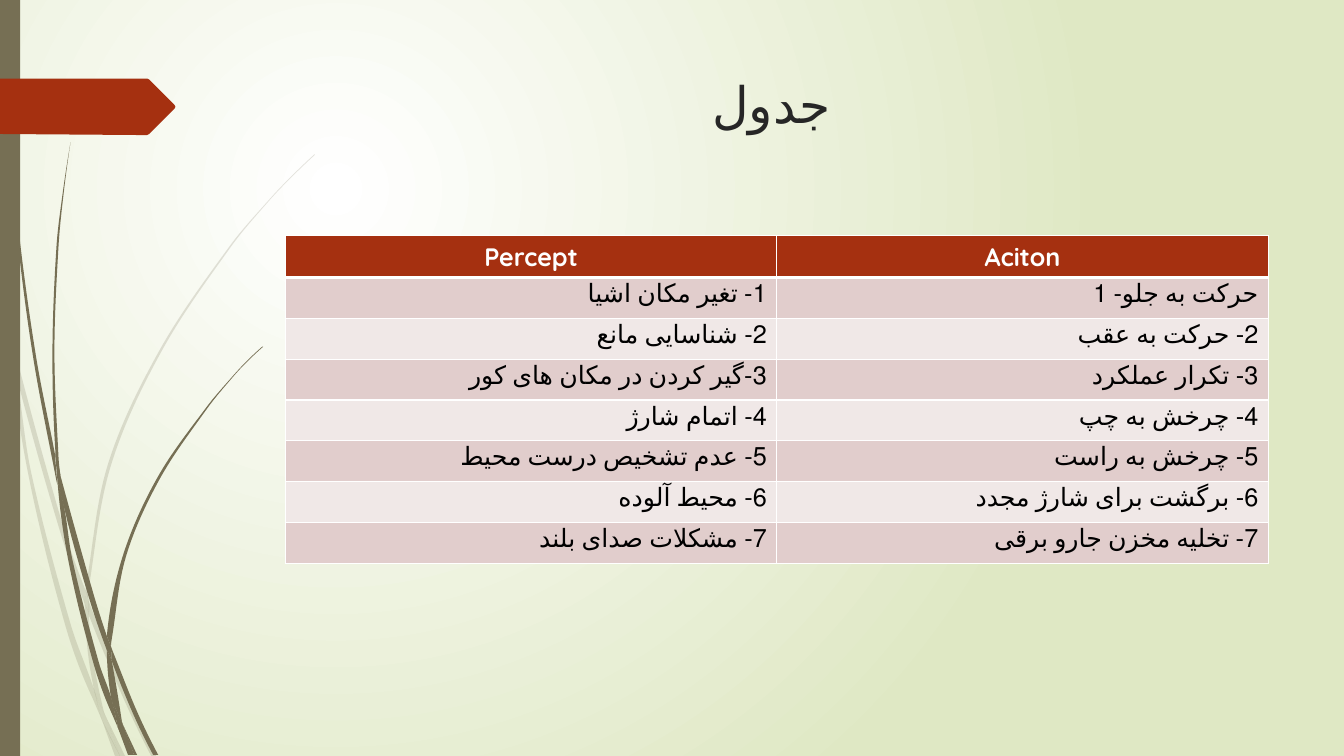
from math import dist

from lxml import etree
from pptx import Presentation
from pptx.dml.color import RGBColor
from pptx.enum.lang import MSO_LANGUAGE_ID
from pptx.enum.shapes import MSO_SHAPE
from pptx.enum.text import MSO_ANCHOR, PP_ALIGN
from pptx.oxml import parse_xml
from pptx.oxml.ns import nsdecls, qn
from pptx.util import Inches, Pt

RECTANGLE = MSO_SHAPE.RECTANGLE
TOP = MSO_ANCHOR.TOP
CENTER, RIGHT = PP_ALIGN.CENTER, PP_ALIGN.RIGHT
ENGLISH, FARSI = MSO_LANGUAGE_ID.ENGLISH_US, MSO_LANGUAGE_ID.FARSI
FONT = "Quicksand"
COLORS = {
    "white": "FFFFFF", "black": "000000", "title": "262626", "edge": "DFE8C4",
    "stem": "766F54", "accent": "A53010", "odd": "E1CDCC", "even": "F0E8E7",
}

TITLE = "جدول "
HEADERS = ("Percept", "Aciton")
ROWS = [
    ("1- تغیر مکان اشیا ", "حرکت به جلو- 1"),
    ("2- شناسایی مانع ", "2- حرکت به عقب "),
    ("3-گیر کردن در مکان های کور", "3- تکرار عملکرد "),
    ("4- اتمام شارژ", "4- چرخش به چپ"),
    ("5- عدم تشخیص درست محیط", "5- چرخش به راست "),
    ("6- محیط آلوده", "6- برگشت برای شارژ مجدد"),
    ("7- مشکلات صدای بلند ", "7- تخلیه مخزن جارو برقی "),
]
LEFT_TO_RIGHT_CELL = (1, 1)

PALE_WISPS = [
    [[(0.11, 3.5), (0.09, 3.22), (0, 2.82)], [(0, 2.99), (0.1, 3.44), (0.11, 3.5)]],
    [[(0.14, 3.45), (0.62, 5.2), (0.85, 5.86)], [(0.84, 5.99), (0.58, 5.22), (0.17, 3.76)]],
    [[(0.88, 5.96), (0.92, 6.07), (1.27, 6.92), (1.55, 7.5)],
     [(1.5, 7.5), (1.23, 6.94), (0.88, 6.1)]],
    [[(1.05, 7.11), (1.24, 7.5)], [(1.19, 7.5), (1.05, 7.11)]],
    [[(0.11, 3.5), (0.17, 3.76), (0.31, 4.69), (0.7, 6.19), (0.93, 6.83), (0.99, 7.07), (1.01, 7.14)],
     [(0.92, 6.93), (0.65, 6.21), (0.28, 4.7), (0.11, 3.5)]],
    [[(0.84, 5.99), (0.87, 6.46), (0.93, 6.83), (0.96, 6.92), (1.05, 7.11)],
     [(1.03, 7.06), (0.91, 6.46), (0.88, 6.1), (0.88, 6.08), (0.84, 5.99)]],
    [[(0.88, 5.96), (0.88, 5.84), (1.1, 4.62), (1.6, 3.49), (2.29, 2.45), (2.68, 1.98), (2.9, 1.75), (3.12, 1.54)],
     [(3.12, 1.53), (2.89, 1.75), (2.68, 1.97), (2.28, 2.44), (1.58, 3.48), (1.07, 4.61), (0.85, 5.84), (0.85, 5.86)]],
    [[(1.01, 7.14), (1.14, 7.5)], [(1.19, 7.5), (1.01, 7.14)]],
    [[(0.88, 6.1), (0.88, 5.96), (0.85, 5.86)], [(0.84, 5.99), (0.88, 6.08)]],
    [[(0.93, 6.83), (0.99, 7.07), (1.01, 7.14), (1.19, 7.5)], [(1.05, 7.11), (0.96, 6.92), (0.93, 6.83)]],
]
DARK_WISPS = [
    [[(0.03, 0), (0.04, 0.48), (0.07, 1.1), (0.17, 2.33), (0.33, 3.55), (0.56, 4.77), (0.57, 4.81)],
     [(0.55, 4.57), (0.55, 4.53), (0.36, 3.55), (0.19, 2.32), (0.08, 1.09), (0.05, 0.48), (0.04, 0)]],
    [[(0.6, 4.72), (0.93, 5.9), (1.06, 6.31)], [(1.06, 6.45), (0.88, 5.92), (0.64, 5.05), (0.6, 4.72)]],
    [[(1.1, 6.41), (1.13, 6.49), (1.36, 7.06), (1.57, 7.49)], [(1.52, 7.49), (1.32, 7.08), (1.11, 6.56)]],
    [[(0.57, 4.77), (0.64, 5.05), (0.72, 5.56), (0.98, 6.57), (1.1, 6.91), (1.16, 7.17), (1.17, 7.22)],
     [(1.11, 7.08), (0.93, 6.59), (0.68, 5.57), (0.57, 4.77)]],
    [[(0.6, 4.72), (0.58, 4.53), (0.54, 3.49), (0.58, 2.45), (0.63, 1.93), (0.7, 1.41)],
     [(0.7, 1.41), (0.62, 1.93), (0.56, 2.45), (0.52, 3.49), (0.55, 4.49), (0.6, 4.72)]],
    [[(1.22, 7.19), (1.36, 7.49)], [(1.33, 7.49), (1.22, 7.19)]],
    [[(0.55, 4.49), (0.6, 4.72), (0.64, 5.05)], [(0.57, 4.77), (0.55, 4.53)]],
    [[(1.1, 6.41), (1.11, 6.33), (1.25, 5.52), (1.58, 4.76), (2.05, 4.06), (2.31, 3.74), (2.45, 3.59), (2.61, 3.44)],
     [(2.6, 3.44), (2.45, 3.58), (2.31, 3.73), (2.04, 4.05), (1.56, 4.74), (1.22, 5.51), (1.06, 6.31)]],
    [[(1.17, 7.22), (1.27, 7.49)], [(1.31, 7.49), (1.17, 7.22)]],
    [[(1.06, 6.45), (1.1, 6.91), (1.16, 7.06), (1.22, 7.19)], [(1.21, 7.16), (1.11, 6.56), (1.09, 6.51), (1.06, 6.45)]],
    [[(1.06, 6.45), (1.09, 6.51), (1.11, 6.56)], [(1.1, 6.41), (1.06, 6.31)]],
    [[(1.1, 6.91), (1.16, 7.17), (1.17, 7.22), (1.3, 7.49)], [(1.33, 7.49), (1.22, 7.19), (1.16, 7.06), (1.1, 6.91)]],
]
TAG = [[(0, 0.78), (1.46, 0.78)], [(1.48, 0.79), (1.73, 1.04)], [(1.74, 1.06), (1.73, 1.08)],
       [(1.48, 1.33), (1.46, 1.34)], [(1.36, 1.34), (0, 1.33)]]


def rgb(name):
    return RGBColor.from_string(COLORS[name])


def direction(start, end):
    length = dist(start, end) or 1
    return tuple((b - a) / length for a, b in zip(start, end))


def edge_directions(points):
    inner = [direction(a, b) for a, b in zip(points, points[2:])]
    first, last = direction(*points[:2]), direction(*points[-2:])
    return [tuple(2 * a - b for a, b in zip(first, inner[0])), *inner,
            tuple(2 * a - b for a, b in zip(last, inner[-1]))]


def bend(line, start, end, start_direction, end_direction, origin):
    reach = dist(start, end) / 3
    controls = ([a + reach * d for a, d in zip(start, start_direction)],
                [b - reach * d for b, d in zip(end, end_direction)])
    line.tag = qn("a:cubicBezTo")
    for index, control in enumerate(controls):
        x, y = (str(round(value - offset)) for value, offset in zip(control, origin))
        line.insert(index, etree.Element(qn("a:pt"), x=x, y=y))


def paint(shape, color, opacity=100):
    shape.shadow.inherit = False
    shape.fill.solid()
    shape.fill.fore_color.rgb = rgb(color)
    shape.line.fill.background()
    if opacity < 100:
        color_element = shape.fill._xPr.find(".//" + qn("a:srgbClr"))
        etree.SubElement(color_element, qn("a:alpha"), val=str(opacity * 1000))


def draw_outline(shapes, edges, color, opacity=100):
    edges = [[(Inches(x), Inches(y)) for x, y in edge] for edge in edges]
    points = [point for edge in edges for point in edge]
    builder = shapes.build_freeform(*points[0])
    builder.add_line_segments(points[1:], close=True)
    shape = builder.convert_to_shape()
    origin = [min(values) for values in zip(*points)]
    lines = list(shape._element.iter(qn("a:lnTo")))
    position = 0
    for edge in edges:
        if len(edge) > 2:
            directions = edge_directions(edge)
            for index in range(len(edge) - 1):
                bend(lines[position + index], *edge[index:index + 2],
                     *directions[index:index + 2], origin)
        position += len(edge)
    paint(shape, color, opacity)


def write_text(paragraph, text, size, color, alignment, language, bold=False):
    paragraph.alignment = alignment
    run = paragraph.add_run()
    run.text = text
    run.font.name = FONT
    run.font.size = Pt(size)
    run.font.bold = bold
    run.font.language_id = language
    run.font.color.rgb = rgb(color)


def format_cell(cell, fill, top_width, bottom_width):
    properties = cell._tc.get_or_add_tcPr()
    for side, width in (("L", 1), ("R", 1), ("T", top_width), ("B", bottom_width)):
        properties.append(parse_xml(
            f'<a:ln{side} {nsdecls("a")} w="{Pt(width)}"><a:solidFill>'
            f'<a:srgbClr val="{COLORS["white"]}"/></a:solidFill></a:ln{side}>'))
    cell.fill.solid()
    cell.fill.fore_color.rgb = rgb(fill)


presentation = Presentation()
presentation.slide_width, presentation.slide_height = Inches(13.33), Inches(7.5)
slide = presentation.slides.add_slide(presentation.slide_layouts[5])
slide._element.cSld.insert(0, parse_xml(
    f'<p:bg {nsdecls("p", "a")}><p:bgPr><a:gradFill rotWithShape="1"><a:gsLst>'
    f'<a:gs pos="0"><a:srgbClr val="{COLORS["white"]}"/></a:gs>'
    f'<a:gs pos="100000"><a:srgbClr val="{COLORS["edge"]}"/></a:gs></a:gsLst>'
    '<a:path path="circle"><a:fillToRect l="50000" t="50000" r="100000" b="100000"/></a:path>'
    '</a:gradFill><a:effectLst/></p:bgPr></p:bg>'))

for wisps, opacity in ((PALE_WISPS, 20), (DARK_WISPS, 100)):
    group = slide.shapes.add_group_shape()
    for wisp in wisps:
        draw_outline(group.shapes, wisp, "stem", opacity)
side_bar = slide.shapes.add_shape(RECTANGLE, 0, 0, Inches(0.2), Inches(7.5))
paint(side_bar, "stem")
draw_outline(slide.shapes, TAG, "accent")

title = slide.shapes.title
title.left, title.top, title.width, title.height = map(Inches, (2.84, 0.68, 9.75, 1.4))
title.text_frame.vertical_anchor = TOP
write_text(title.text_frame.paragraphs[0], TITLE, 36, "title", CENTER, FARSI)

table = slide.shapes.add_table(
    len(ROWS) + 1, len(HEADERS), Inches(2.83), Inches(2.34), Inches(9.75), Inches(3.24)).table
for row_index, texts in enumerate([HEADERS, *ROWS]):
    for column_index, text in enumerate(texts):
        cell = table.cell(row_index, column_index)
        paragraph = cell.text_frame.paragraphs[0]
        if row_index == 0:
            format_cell(cell, "accent", 1, 3)
            write_text(paragraph, text, 18, "white", CENTER, ENGLISH, bold=True)
            continue
        format_cell(cell, "odd" if row_index % 2 else "even", 3 if row_index == 1 else 1, 1)
        write_text(paragraph, text, 18, "black", RIGHT, FARSI)
        if (row_index, column_index) != LEFT_TO_RIGHT_CELL:
            paragraph._p.get_or_add_pPr().set("rtl", "1")

presentation.save("out.pptx")
